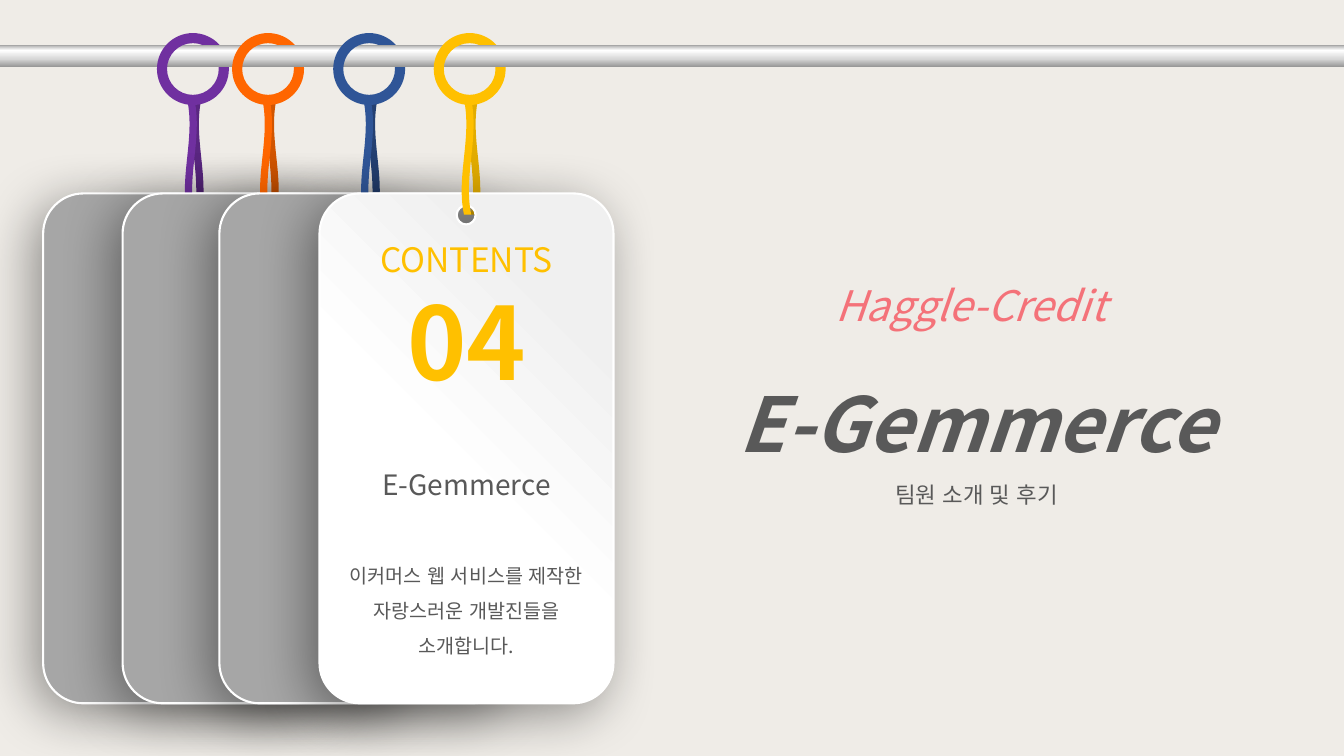
from dataclasses import dataclass
from math import cos, radians, sin, tan

from lxml.etree import SubElement
from pptx import Presentation
from pptx.dml.color import RGBColor
from pptx.enum.lang import MSO_LANGUAGE_ID
from pptx.enum.shapes import MSO_SHAPE
from pptx.enum.text import MSO_ANCHOR, MSO_AUTO_SIZE, PP_ALIGN
from pptx.oxml import parse_xml
from pptx.oxml.ns import nsdecls, qn
from pptx.util import Emu, Inches, Pt

CELL = Inches(1) // 12
COLS, ROWS = 160, 90


@dataclass(frozen=True)
class Theme:
    font: str = "Noto Sans CJK KR"
    background: str = "EFECE7"
    text: str = "595959"
    pink: str = "F47279"
    yellow: str = "FFC000"
    white: str = "FFFFFF"
    card: str = "A6A6A6"
    shadow: str = "000000"
    rod: tuple = ((0, "979797"), (35, "D7D7D7"), (74, "FFFFFF"), (100, "A6A6A6"))
    sheen: tuple = ((45, "FFFFFF"), (81, "F0F0F0"))
    small: int = 14
    body: int = 16
    heading: int = 20
    label: int = 24
    subtitle: int = 30
    spacer: int = 36
    title: int = 54
    number: int = 72
    gap: int = 36


T = Theme()
LINEAR = '<a:lin ang="16200000" scaled="0"/>'
RADIAL = '<a:path path="circle"><a:fillToRect t="100000" r="100000"/></a:path>'
TAGS = [
    (5.14, 22.97, "7030A0", "5A2781"),
    (14.6, 31.92, "FF6600", "D25500"),
    (26.12, 43.95, "2F5597", "244072"),
    (38.04, 55.92, T.yellow, "E2AC00"),
]
CARD_TOP, CARD_W, CARD_H, CORNER = 23.03, 35, 60.7, 4.8
HOLE_DX, HOLE_ROW, HOLE_R = 17.46, 25.6, 1.12
RING_ROW, RING_OUTER, RING_INNER = 8.22, 4.28, 3.08
STRAND_ROW, STRAND_L, STRAND_W = 18.72, 13.68, 1.44


def grid(*cells):
    return [Emu(round(c * CELL)) for c in cells]


def paint(sp, color):
    sp.fill.solid()
    sp.fill.fore_color.rgb = RGBColor.from_string(color)
    sp.line.fill.background()
    sp.shadow.inherit = False


def paint_gradient(sp, stops, direction):
    paint(sp, T.white)
    gs = "".join(
        f'<a:gs pos="{pos * 1000}"><a:srgbClr val="{color}"/></a:gs>'
        for pos, color in stops
    )
    spPr = sp._element.spPr
    spPr.replace(
        spPr.find(qn("a:solidFill")),
        parse_xml(
            f'<a:gradFill {nsdecls("a")} rotWithShape="1">'
            f"<a:gsLst>{gs}</a:gsLst>{direction}</a:gradFill>"
        ),
    )


def add_shadow(sp):
    effects = sp._element.spPr.find(qn("a:effectLst"))
    effects.append(parse_xml(
        f'<a:outerShdw {nsdecls("a")} blurRad="{Pt(39)}" dist="{Pt(10)}" '
        f'dir="8100000" algn="tr" rotWithShape="0"><a:srgbClr val="{T.shadow}">'
        '<a:alpha val="40000"/></a:srgbClr></a:outerShdw>'
    ))


def on_circle(cx, cy, radius, angle):
    return cx + radius * cos(radians(angle)), cy + radius * sin(radians(angle))


def arc(cx, cy, radius, start, end):
    x1, y1 = on_circle(cx, cy, radius, start)
    x2, y2 = on_circle(cx, cy, radius, end)
    k = 4 / 3 * tan(radians(end - start) / 4)
    return [
        (x1 - k * (y1 - cy), y1 + k * (x1 - cx)),
        (x2 + k * (y2 - cy), y2 - k * (x2 - cx)),
        (x2, y2),
    ]


def add_outline(s, *contours):
    builder = None
    for start, segments in contours:
        if builder is None:
            builder = s.shapes.build_freeform(*grid(*start), scale=1.0)
        else:
            builder.move_to(*grid(*start))
        builder.add_line_segments([grid(*seg[-1]) for seg in segments], close=True)
    sp = builder.convert_to_shape()
    segments = [seg for _, segs in contours for seg in segs]
    lines = list(sp._element.iter(qn("a:lnTo")))
    for line, seg in zip(lines, segments):
        if len(seg) == 3:
            curve = parse_xml(f'<a:cubicBezTo {nsdecls("a")}/>')
            for x, y in (grid(*point) for point in seg):
                pt = SubElement(curve, qn("a:pt"))
                pt.set("x", str(x - sp.left))
                pt.set("y", str(y - sp.top))
            line.getparent().replace(line, curve)
    return sp


def add_run(p, text, *, size, color=T.text, bold=False, italic=False):
    r = p.add_run()
    r.text = text
    r.font.size = Pt(size)
    r.font.bold = bold
    r.font.italic = italic
    r.font.language_id = MSO_LANGUAGE_ID.KOREAN
    r.font.color.rgb = RGBColor.from_string(color)
    r.font.name = T.font
    SubElement(r._r.get_or_add_rPr(), qn("a:ea")).set("typeface", T.font)


def add_text(tf, text, *, spacing=1.5, before=0, **style):
    p = tf.paragraphs[0]
    if p.runs:
        p = tf.add_paragraph()
    p.alignment = PP_ALIGN.CENTER
    p.line_spacing = spacing
    p.space_before = Pt(before)
    add_run(p, text, **style)
    return p


def add_rod(s):
    sp = s.shapes.add_shape(MSO_SHAPE.RECTANGLE, *grid(0, 5.33, COLS, 2.62))
    paint_gradient(sp, T.rod, LINEAR)


def add_strand(s, col, color, flipped=False):
    box = grid(col - STRAND_L / 2, STRAND_ROW - STRAND_W / 2, STRAND_L, STRAND_W)
    sp = s.shapes.add_shape(MSO_SHAPE.WAVE, *box)
    sp.adjustments[0] = 0.2
    sp.adjustments[1] = 0
    sp.rotation = 270 if flipped else 90
    if flipped:
        sp._element.spPr.find(qn("a:xfrm")).set("flipV", "1")
    paint(sp, color)


def add_ring(s, col, color):
    outer, inner = (col, RING_ROW, RING_OUTER), (col, RING_ROW, RING_INNER)
    segments = [arc(*outer, -90, -42), [on_circle(*inner, -68)], arc(*inner, -68, -90)]
    segments += [arc(*inner, a, a - 90) for a in (270, 180, 90)]
    segments += [[on_circle(*inner, -4)], [on_circle(*outer, -3)], [on_circle(*outer, 0)]]
    segments += [arc(*outer, a, a + 90) for a in (0, 90, 180)]
    paint(add_outline(s, (on_circle(*outer, -90), segments)), color)


def add_card(s, left, front):
    x1, x2 = left + CORNER, left + CARD_W - CORNER
    y1, y2 = CARD_TOP + CORNER, CARD_TOP + CARD_H - CORNER
    edge = []
    for x, y, angle in ((x2, y1, 270), (x2, y2, 0), (x1, y2, 90), (x1, y1, 180)):
        edge.append([on_circle(x, y, CORNER, angle)])
        edge.append(arc(x, y, CORNER, angle, angle + 90))
    hole = (left + HOLE_DX, HOLE_ROW, HOLE_R)
    hole_edge = [arc(*hole, a, a - 90) for a in (270, 180, 90, 0)]
    sp = add_outline(s, (on_circle(*hole, 270), hole_edge), ((x1, CARD_TOP), edge))
    if front:
        paint_gradient(sp, T.sheen, RADIAL)
    else:
        paint(sp, T.card)
    sp.line.color.rgb = RGBColor.from_string(T.white)
    sp.line.width = Pt(1.5)
    add_shadow(sp)
    return sp


def fill_card(sp):
    tf = sp.text_frame
    tf.word_wrap = True
    tf.vertical_anchor = MSO_ANCHOR.MIDDLE
    add_text(tf, "CONTENTS", spacing=1.0, size=T.label, color=T.yellow)
    add_text(tf, "04", spacing=1.0, size=T.number, color=T.yellow, bold=True)
    add_text(tf, "E-Gemmerce", before=T.gap, size=T.heading)
    add_text(tf, "이커머스 웹 서비스를 제작한 자랑스러운 개발진들을 소개합니다.",
             before=T.gap, size=T.small)


def add_title(s):
    tf = s.shapes.add_textbox(*grid(80.08, 28.08, 72.36, 33.36)).text_frame
    tf.word_wrap = True
    tf.auto_size = MSO_AUTO_SIZE.SHAPE_TO_FIT_TEXT
    p = add_text(tf, "Haggle-Credit", size=T.subtitle, color=T.pink, italic=True)
    add_run(p, " ", size=T.spacer, italic=True)
    add_text(tf, "E-Gemmerce", size=T.title, bold=True, italic=True)
    add_text(tf, "팀원 소개 및 후기", size=T.body)


def main():
    prs = Presentation()
    prs.slide_width, prs.slide_height = grid(COLS, ROWS)
    s = prs.slides.add_slide(prs.slide_layouts[6])
    s.background.fill.solid()
    s.background.fill.fore_color.rgb = RGBColor.from_string(T.background)
    add_rod(s)
    add_title(s)
    for left, col, color, shade in TAGS:
        add_strand(s, col + 0.55, shade, flipped=True)
        add_ring(s, col, color)
        card = add_card(s, left, front=left == TAGS[-1][0])
        add_strand(s, col - 0.25, color)
    fill_card(card)
    prs.save("out.pptx")


if __name__ == "__main__":
    main()
